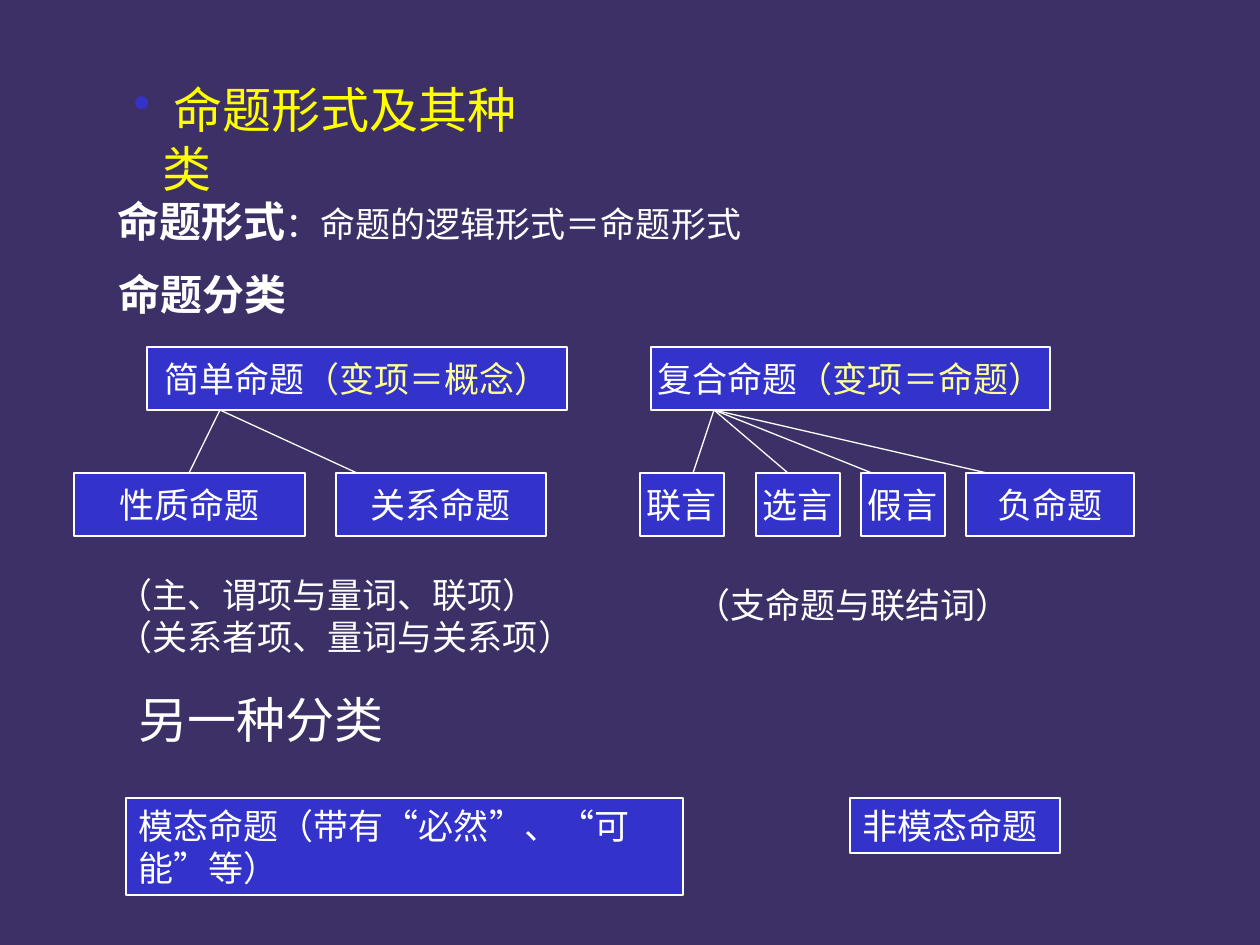
from lxml import etree
from pptx import Presentation
from pptx.dml.color import RGBColor
from pptx.enum.shapes import MSO_CONNECTOR, MSO_SHAPE
from pptx.enum.text import MSO_ANCHOR, MSO_AUTO_SIZE, PP_ALIGN
from pptx.oxml.ns import qn
from pptx.util import Emu, Pt

STRAIGHT = MSO_CONNECTOR.STRAIGHT
RECTANGLE = MSO_SHAPE.RECTANGLE
TOP, MIDDLE = MSO_ANCHOR.TOP, MSO_ANCHOR.MIDDLE
FIXED, GROW = MSO_AUTO_SIZE.NONE, MSO_AUTO_SIZE.SHAPE_TO_FIT_TEXT
LEFT, CENTER = PP_ALIGN.LEFT, PP_ALIGN.CENTER

SANS, SERIF = "Noto Sans CJK SC", "Times New Roman"
NAVY, BLUE, WHITE = "3C3067", "3333CC", "FFFFFF"
YELLOW, CREAM = "FFFF00", "FFFF99"
TITLE_ONLY = 5


def px(length):
    return Emu(round(length * 914400 / 126))


def color(value):
    return RGBColor.from_string(value)


class PropositionSlide:
    def __init__(self, deck):
        self.slide = deck.slides.add_slide(deck.slide_layouts[TITLE_ONLY])
        background = self.slide.background.fill
        background.solid()
        background.fore_color.rgb = color(NAVY)

    def fill_paragraph(self, paragraph, runs, size, font=SANS, ink=WHITE, bold=False, align=LEFT):
        paragraph.alignment = align
        paragraph.font.size = Pt(size)
        paragraph.font.bold = bold
        paragraph.font.color.rgb = color(ink)
        paragraph.font.name = font
        defaults = paragraph._p.pPr.find(qn("a:defRPr"))
        etree.SubElement(defaults, qn("a:ea"), typeface=SANS)
        for words, changes in runs:
            run = paragraph.add_run()
            run.text = words
            if "ink" in changes:
                run.font.color.rgb = color(changes["ink"])
            if "size" in changes:
                run.font.size = Pt(changes["size"])
            if "bold" in changes:
                run.font.bold = changes["bold"]
            if "font" in changes:
                run.font.name = changes["font"]

    def frame(self, shape, wrap, fit, anchor=TOP):
        frame = shape.text_frame
        frame.word_wrap = wrap
        frame.auto_size = fit
        frame.vertical_anchor = anchor
        return frame

    def title(self, words, left, top, width, height):
        heading = self.slide.shapes.title
        heading.left, heading.top = px(left), px(top)
        heading.width, heading.height = px(width), px(height)
        paragraph = self.frame(heading, True, FIXED).paragraphs[0]
        properties = paragraph._p.get_or_add_pPr()
        properties.set("marL", str(px(29)))
        properties.set("indent", str(-px(29)))
        bullet_color = etree.SubElement(properties, qn("a:buClr"))
        etree.SubElement(bullet_color, qn("a:srgbClr"), val=BLUE)
        etree.SubElement(properties, qn("a:buChar"), char="•")
        self.fill_paragraph(paragraph, [(words, {})], 28, ink=YELLOW)

    def text(self, lines, left, top, width, height, size=20, wrap=False, **style):
        label = self.slide.shapes.add_textbox(px(left), px(top), px(width), px(height))
        frame = self.frame(label, wrap, FIXED if wrap else GROW)
        for index, runs in enumerate(lines):
            paragraph = frame.add_paragraph() if index else frame.paragraphs[0]
            self.fill_paragraph(paragraph, runs, size, **style)

    def box(self, runs, left, top, width, height=63, wrap=False):
        box = self.slide.shapes.add_shape(RECTANGLE, px(left), px(top), px(width), px(height))
        box.shadow.inherit = False
        box.fill.solid()
        box.fill.fore_color.rgb = color(BLUE)
        box.line.color.rgb = color(WHITE)
        box.line.width = Pt(0.75)
        frame = self.frame(box, wrap, FIXED, TOP if wrap else MIDDLE)
        self.fill_paragraph(frame.paragraphs[0], runs, 20, align=LEFT if wrap else CENTER)

    def branch(self, start_x, start_y, end_x, end_y):
        branch = self.slide.shapes.add_connector(
            STRAIGHT, px(start_x), px(start_y), px(end_x), px(end_y))
        branch.line.color.rgb = color(WHITE)
        branch.line.width = Pt(0.75)
        etree.SubElement(branch._element.spPr, qn("a:effectLst"))


def main():
    deck = Presentation()
    deck.slide_width, deck.slide_height = px(1260), px(945)
    page = PropositionSlide(deck)

    page.title(" 命题形式及其种类", 121, 73, 446, 72)
    definition = [("命题形式", {"size": 24, "bold": True}), ("：命题的逻辑形式＝命题形式", {})]
    page.text([definition], 105, 189, 1102, 254, wrap=True)
    page.text([[("命题分类", {})]], 106, 262, 193, 63, size=24, font=SERIF, bold=True)

    root_y, leaf_y, box_height = 347, 473, 63
    trees = [
        ("简单命题", "（变项＝概念）", 147, 420, 220,
         [("性质命题", 74, 231, 189), ("关系命题", 336, 210, 357)]),
        ("复合命题", "（变项＝命题）", 651, 399, 714,
         [("联言", 640, 84, 693), ("选言", 756, 84, 788),
          ("假言", 861, 84, 872), ("负命题", 966, 168, 987)]),
    ]
    for name, variable, left, width, fork_x, kinds in trees:
        page.box([(name, {}), (variable, {"ink": CREAM})], left, root_y, width, box_height)
        for kind, kind_left, kind_width, tip_x in kinds:
            page.box([(kind, {})], kind_left, leaf_y, kind_width, box_height)
            page.branch(fork_x, root_y + box_height, tip_x, leaf_y)

    simple_parts = ["（主、谓项与量词、联项）", "（关系者项、量词与关系项）"]
    page.text([[(part, {})] for part in simple_parts], 105, 567, 481, 97)
    page.text([[("（支命题与联结词）", {})]], 683, 577, 342, 97, wrap=True)

    page.text([[("另一种分类", {})]], 126, 683, 270, 72, size=28, font=SERIF)
    quote = {"font": SERIF}
    modal = [("模态命题（带有", {}), ("“", quote), ("必然", {}), ("”", quote), ("、", {}),
             ("“", quote), ("可能", {}), ("”", quote), ("等）", {})]
    page.box(modal, 126, 798, 557, 97, wrap=True)
    page.box([("非模态命题", {})], 850, 798, 210, 55, wrap=True)

    deck.save("out.pptx")


if __name__ == "__main__":
    main()
